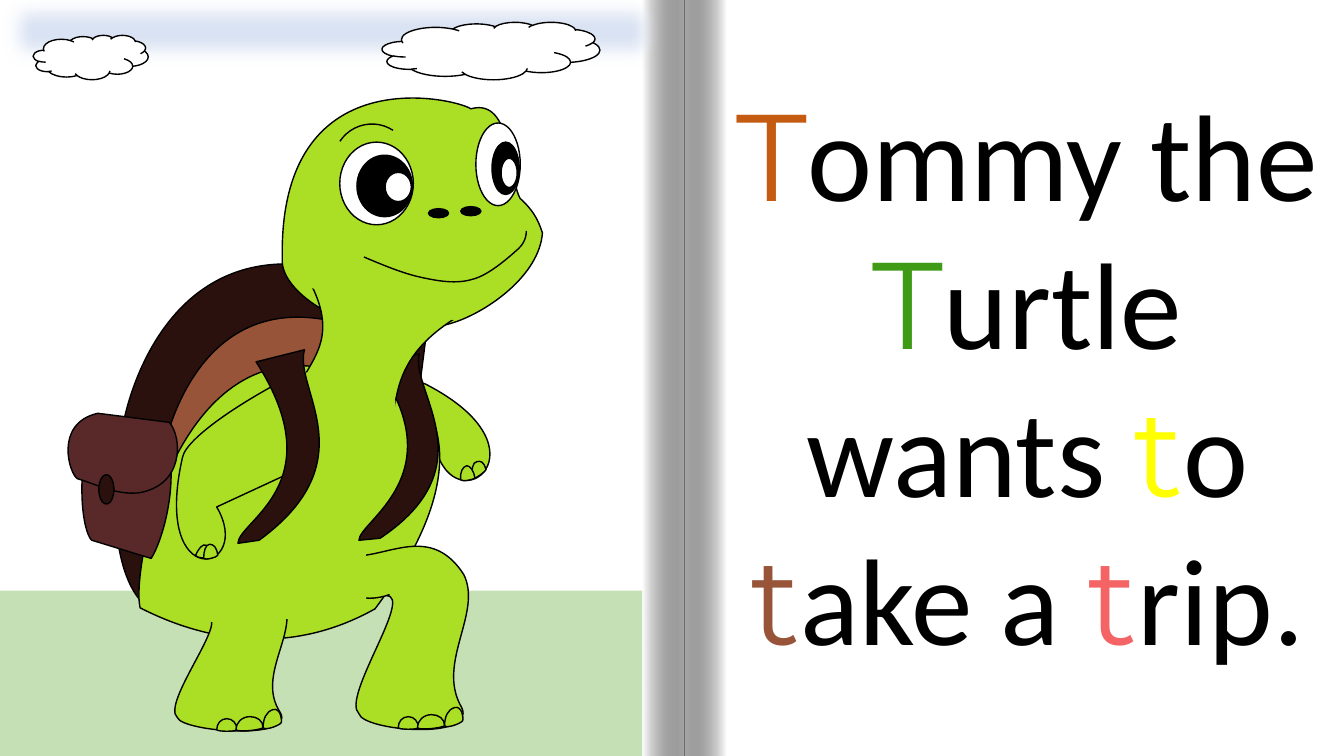
from dataclasses import dataclass

from lxml.etree import SubElement as Sub
from pptx import Presentation
from pptx.dml.color import RGBColor as RGB
from pptx.enum.shapes import MSO_SHAPE as Form
from pptx.enum.text import MSO_AUTO_SIZE as Fit, PP_ALIGN as Align
from pptx.oxml.ns import qn
from pptx.util import Inches, Pt


@dataclass(frozen=True)
class Theme:
    black: str = "000000"
    white: str = "FFFFFF"
    sky: str = "DAE3F3"
    grass: str = "C5E0B4"
    skin: str = "ABDF25"
    shell: str = "2A110D"
    rim: str = "975439"
    bag: str = "592829"
    orange: str = "C55A11"
    green: str = "3F9B16"
    yellow: str = "FFFF00"
    pink: str = "F46464"
    body: str = "Calibri"
    accent: str = "Montserrat"
    size: int = 88
    line: int = 1
    shade: int = 34000
    soft: int = 15


class Page:
    def __init__(self, slide, theme):
        self.slide = slide
        self.theme = theme
        self.layer = slide.shapes
        back = slide.background.fill
        back.solid()
        back.fore_color.rgb = RGB.from_string(theme.black)

    def group(self):
        self.layer = self.slide.shapes.add_group_shape().shapes

    def ungroup(self):
        self.layer = self.slide.shapes

    def style(self, shape, fill, line):
        shape.shadow.inherit = False
        if fill:
            shape.fill.solid()
            shape.fill.fore_color.rgb = RGB.from_string(fill)
        else:
            shape.fill.background()
        if line:
            shape.line.color.rgb = RGB.from_string(line)
            shape.line.width = Pt(self.theme.line)
        else:
            shape.line.fill.background()
        return shape

    def shape(self, form, at, fill, line=None, turn=0):
        shape = self.layer.add_shape(form, *map(Inches, at))
        shape.rotation = turn
        return self.style(shape, fill, line)

    def oval(self, at, fill):
        return self.shape(Form.OVAL, at, fill, self.theme.black)

    def fade(self, at, angle):
        shape = self.shape(Form.RECTANGLE, at, self.theme.white)
        shape.fill.gradient()
        shape.fill.gradient_angle = angle
        for stop, color in zip(shape.fill.gradient_stops, (self.theme.white, self.theme.black)):
            stop.color.rgb = RGB.from_string(color)
        last = shape._element.findall(".//" + qn("a:srgbClr"))[-1]
        Sub(last, qn("a:alpha"), val=str(self.theme.shade))

    def blur(self, shape):
        effects = shape._element.spPr.find(qn("a:effectLst"))
        Sub(effects, qn("a:softEdge"), rad=str(int(Pt(self.theme.soft))))

    def curve(self, route, fill, line=Theme.black, dx=0, dy=0):
        steps = []
        for word in route.split():
            if word.isalpha():
                steps.append((word, []))
            else:
                steps[-1][1].append(float(word))
        steps = [(key, [(x + dx, y + dy) for x, y in zip(nums[::2], nums[1::2])])
                 for key, nums in steps]
        dots = []
        for key, ends in steps:
            if key == "C":
                a, (b, c, d) = dots[-1], ends
                for n in range(1, 41):
                    t = n / 40
                    u = 1 - t
                    dots.append(tuple(u**3 * a[i] + 3 * u * u * t * b[i]
                                      + 3 * u * t * t * c[i] + t**3 * d[i] for i in (0, 1)))
            else:
                dots += ends
        xs, ys = ([int(Inches(v)) for v in axis] for axis in zip(*dots))
        left, top, right, base = min(xs), min(ys), max(xs), max(ys)
        frame = self.layer.build_freeform(left, top, 1.0)
        frame.add_line_segments([(right, top), (right, base), (left, base)])
        shape = frame.convert_to_shape()
        track = shape._element.find(".//" + qn("a:path"))
        for kid in list(track):
            track.remove(kid)
        tags = {"M": "a:moveTo", "L": "a:lnTo", "C": "a:cubicBezTo", "Z": "a:close"}
        for key, ends in steps:
            node = Sub(track, qn(tags[key]))
            for x, y in ends:
                Sub(node, qn("a:pt"), x=str(int(Inches(x)) - left), y=str(int(Inches(y)) - top))
        return self.style(shape, fill, line)

    def text(self, at, runs):
        frame = self.layer.add_textbox(*map(Inches, at)).text_frame
        frame.word_wrap = True
        frame.auto_size = Fit.SHAPE_TO_FIT_TEXT
        para = frame.paragraphs[0]
        para.alignment = Align.CENTER
        for words, color in runs:
            run = para.add_run()
            run.text = words
            run.font.size = Pt(self.theme.size)
            run.font.name = self.theme.accent if color else self.theme.body
            run.font.color.rgb = RGB.from_string(color or self.theme.black)


def scene(page, t):
    page.group()
    page.shape(Form.RECTANGLE, (0, 0, 13.33, 7.5), t.white)
    page.fade((6.79, 0, 0.42, 7.5), 180)
    page.fade((6.37, 0, 0.42, 7.5), 0)
    page.ungroup()
    page.text((7.05, 0.73, 6.28, 6.02), [
        ("T", t.orange), ("ommy the ", None), ("T", t.green), ("urtle wants ", None),
        ("t", t.yellow), ("o ", None), ("t", t.rim), ("ake a ", None),
        ("t", t.pink), ("rip.", None)])
    page.blur(page.shape(Form.RECTANGLE, (-0.05, -0.12, 6.67, 0.85), t.sky, t.sky))
    for at in ((0.33, 0.35, 1.14, 0.44), (3.79, 0.22, 2.16, 0.57)):
        page.shape(Form.CLOUD, at, t.white, t.black)
    page.shape(Form.RECTANGLE, (-0.05, 5.86, 6.42, 1.76), t.grass)


def turtle(page, t):
    page.group()
    for route, fill in (
        ("M 1.21 4.28 C 1.23 4.08 1.72 1.63 4.26 3.07 L 3.93 5.66 L 1.74 6.11 C 1.09 6.14 1.07 4.88 1.21 4.28 Z", t.shell),
        ("M 1.6 4.58 C 1.62 4.4 2.03 2.29 4.14 3.54 L 3.87 5.78 L 2.04 6.16 C 1.5 6.19 1.48 5.1 1.6 4.58 Z", t.rim),
        ("M 2.8 2.57 C 2.76 0.55 4.53 0.98 4.67 1.08 C 5.09 0.96 5.04 1.77 5.16 1.97 C 5.33 2.12 5.36 2.26 5.38 2.31 "
         "C 5.35 2.73 4.84 3.09 4.5 3.2 C 3.61 3.48 2.77 2.93 2.8 2.57 Z", t.skin),
        ("M 4.22 3.81 C 4.03 3.71 3.14 4.04 2.64 4.29 L 3.4 4.91 L 4.32 4.44 C 4.51 5.21 5.49 4.46 4.22 3.81 Z", t.skin),
        ("M 1.39 6.03 C 1.3 5.63 1.74 3.44 3.14 3.64 C 3.28 4.04 3.95 4 4.13 3.9 C 4.48 4.29 4.5 5 3.72 6.04 "
         "C 2.74 6.59 1.84 6.26 1.39 6.03 Z", t.skin),
        ("M 3.61 2.55 C 3.8 2.63 3.99 2.71 4.17 2.75 C 4.35 2.79 4.53 2.82 4.69 2.77 C 4.85 2.73 5.05 2.55 5.14 2.47 "
         "C 5.23 2.39 5.22 2.29 5.22 2.29", None),
    ):
        page.curve(route, fill)

    page.oval((3.37, 1.41, 0.73, 0.82), t.white)
    page.oval((4.72, 1.22, 0.44, 0.82), t.white)
    page.oval((4.25, 2.07, 0.2, 0.09), t.black)
    page.shape(Form.ARC, (3.31, 1.23, 0.76, 0.76), None, t.black, 303.3)
    page.oval((3.54, 1.54, 0.55, 0.61), t.black)
    page.oval((3.82, 1.71, 0.26, 0.29), t.white)
    page.oval((4.88, 1.41, 0.27, 0.52), t.black)
    page.oval((4.97, 1.57, 0.16, 0.29), t.white)

    page.curve("M 4.6 5.7 C 4.24 5.14 3.76 5.61 3.38 5.5 L 3.49 5.74 C 3.45 6.09 3.99 5.85 3.83 5.91 "
               "C 4.11 5.9 3.38 6.92 3.56 7.08 C 3.6 7.25 4.73 7.35 4.58 7.02 C 4.32 6.58 4.79 6.08 4.6 5.7 Z", t.skin)
    page.curve("M 2.8 5.93 C 2.45 5.46 1.97 5.85 1.58 5.76 L 1.69 5.96 C 1.66 6.26 2.2 6.06 2.04 6.12 "
               "C 2.31 6.1 1.59 6.98 1.76 7.12 C 1.81 7.26 2.94 7.35 2.78 7.07 C 2.53 6.69 2.99 6.26 2.8 5.93 Z", t.skin)
    toes = ("M 3.95 7.22 C 3.95 7.16 3.99 7.11 4.05 7.11 C 4.11 7.11 4.15 7.16 4.15 7.22 C 4.14 7.24 3.96 7.24 3.95 7.22 Z",
            "M 4.41 7.2 C 4.41 7.13 4.35 7.09 4.28 7.09 C 4.2 7.09 4.14 7.15 4.14 7.22 C 4.17 7.25 4.39 7.22 4.41 7.2 Z",
            "M 4.59 7.15 C 4.6 7.12 4.58 7 4.51 7.02 C 4.44 7.04 4.41 7.11 4.41 7.2 C 4.43 7.23 4.57 7.18 4.59 7.15 Z")
    for dx, dy in ((0, 0), (-1.8, 0.02)):
        for toe in toes:
            page.curve(toe, t.skin, dx=dx, dy=dy)

    for route, fill, line in (
        ("M 3.73 3.62 L 4.16 3.51 C 4.06 3.87 4.85 4.62 3.77 5.34 L 3.56 5.36 C 3.56 5.17 4.52 4.71 3.73 3.62 Z", t.shell, t.black),
        ("M 3.08 2.81 L 4.63 3.09 C 3.77 3.57 3.98 4.06 3.83 4.49 L 2.81 4.51 C 2.73 3.67 3.49 3.61 3.08 2.81 Z", t.skin, t.black),
        ("M 4.69 4.74 C 4.67 4.67 4.69 4.58 4.73 4.58 C 4.77 4.57 4.8 4.58 4.82 4.66 C 4.81 4.68 4.71 4.76 4.69 4.74 Z", t.skin, t.black),
        ("M 4.57 4.76 C 4.56 4.68 4.59 4.63 4.63 4.62 C 4.66 4.62 4.7 4.67 4.71 4.74 C 4.7 4.76 4.58 4.78 4.57 4.76 Z", t.skin, t.black),
        ("M 0.89 4.13 L 1.61 4.21 C 1.82 4.74 1.6 5.39 1.5 5.54 L 0.91 5.36 C 0.86 5.32 0.73 4.97 0.89 4.13 Z", t.bag, t.black),
        ("M 3.05 2.85 L 3.01 2.64 L 4.67 3.04 C 4.7 3.07 4.69 3.1 4.52 3.18 L 3.05 2.85 Z", t.skin, None),
        ("M 0.97 4.1 L 1.68 4.19 C 1.81 4.34 1.83 4.82 1.37 4.89 C 1.14 4.91 0.95 4.8 0.77 4.75 C 0.69 4.71 0.53 4.2 0.97 4.1 Z", t.bag, t.black),
    ):
        page.curve(route, fill, line)
    page.oval((0.98, 4.71, 0.15, 0.29), t.shell)

    for route, fill, line in (
        ("M 1.56 5.78 C 1.59 5.72 1.48 5.63 1.71 5.63 C 1.93 5.57 2.08 5.69 2.93 5.69 L 2.93 6.14 "
         "C 2.5 6.13 2.15 6.22 1.72 6.13 C 1.72 6.02 1.46 5.85 1.56 5.78 Z", t.skin, None),
        ("M 2.71 3.96 C 2.74 3.85 2.63 3.67 2.86 3.67 C 3.09 3.56 3.05 3.97 3.92 3.97 L 3.97 4.58 "
         "C 3.53 4.56 3.31 4.79 2.87 4.61 C 2.87 4.41 2.61 4.08 2.71 3.96 Z", t.skin, None),
        ("M 3.32 5.58 C 3.33 5.51 3.3 5.41 3.35 5.41 C 3.4 5.35 3.44 5.48 3.63 5.48 L 3.63 5.95 "
         "C 3.53 5.94 3.45 6.04 3.36 5.94 C 3.36 5.83 3.3 5.64 3.32 5.58 Z", t.skin, None),
        ("M 1.81 4.54 C 1.85 4.32 2.57 3.88 3 3.68 L 2.97 4.65 L 2.15 5.03 C 2.53 5.68 1.5 5.91 1.81 4.54 Z", t.skin, t.black),
        ("M 2.08 5.53 C 2.1 5.47 2.08 5.42 2.05 5.41 C 2.01 5.39 1.97 5.44 1.94 5.51 C 1.94 5.53 2.06 5.55 2.08 5.53 Z", t.skin, t.black),
        ("M 2.16 5.51 C 2.15 5.43 2.12 5.4 2.08 5.4 C 2.04 5.4 2.02 5.47 2.02 5.54 C 2.04 5.56 2.15 5.53 2.16 5.51 Z", t.skin, t.black),
        ("M 2.54 3.59 L 3.02 3.47 C 2.91 3.86 3.65 4.57 2.57 5.36 L 2.36 5.39 C 2.36 5.17 3.32 4.8 2.54 3.59 Z", t.shell, t.black),
    ):
        page.curve(route, fill, line)
    page.oval((4.57, 2.05, 0.2, 0.09), t.black)


def main():
    deck = Presentation()
    deck.slide_width, deck.slide_height = Inches(13.33), Inches(7.5)
    theme = Theme()
    page = Page(deck.slides.add_slide(deck.slide_layouts[6]), theme)
    scene(page, theme)
    turtle(page, theme)
    deck.save("out.pptx")


if __name__ == "__main__":
    main()
